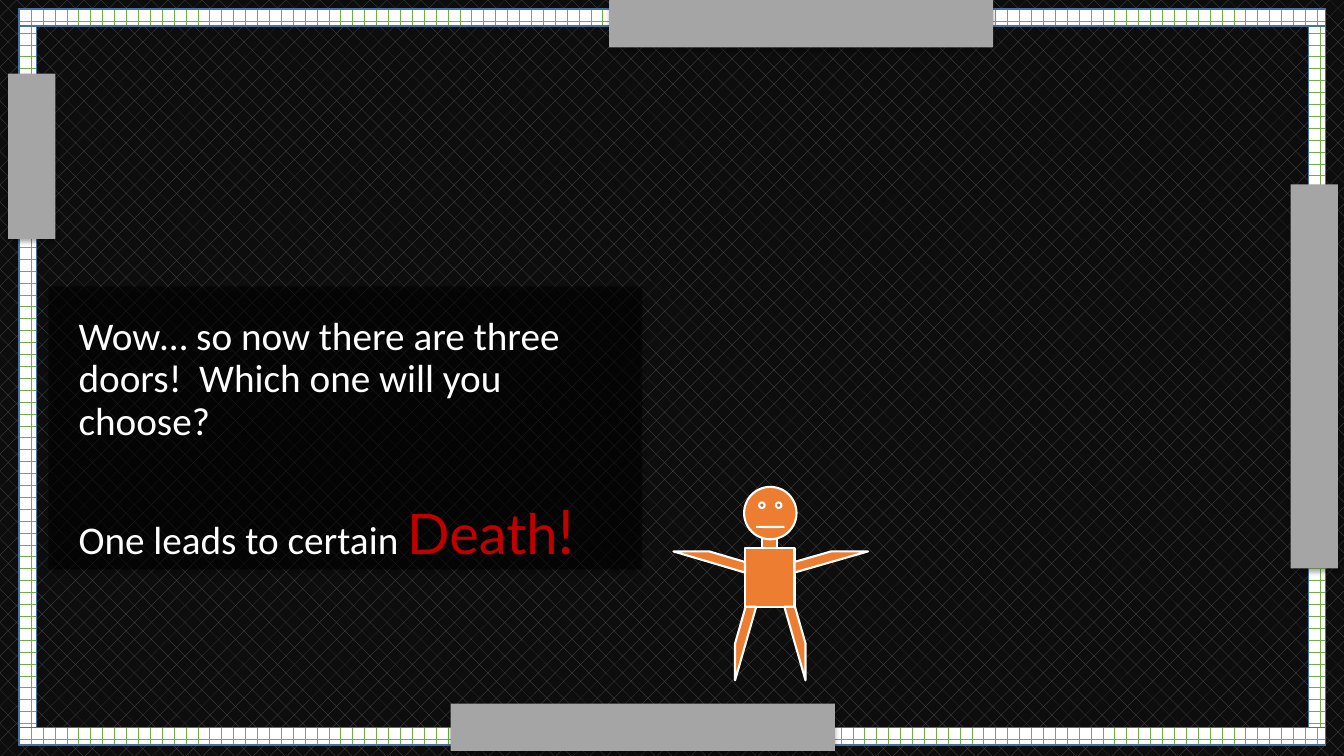
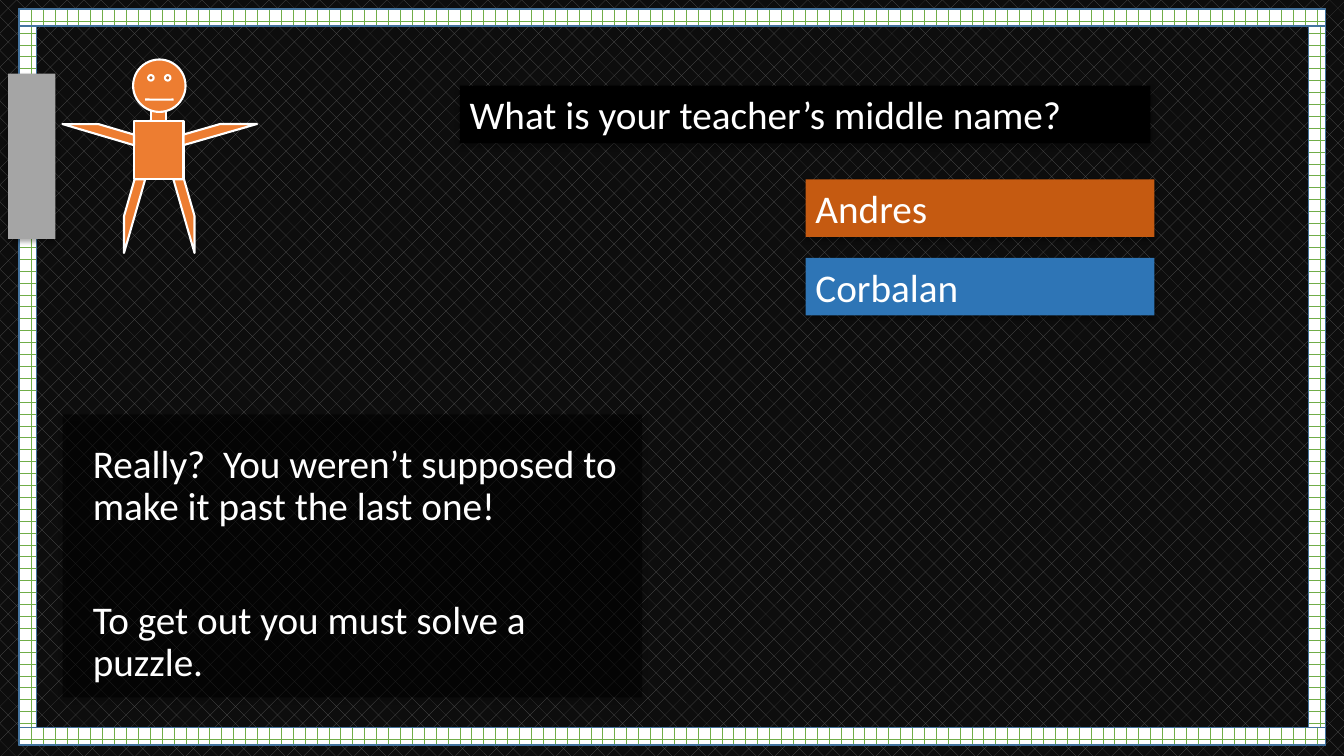
from pptx import Presentation
from pptx.dml.color import RGBColor
from pptx.enum.dml import MSO_PATTERN_TYPE as Pattern
from pptx.enum.shapes import MSO_SHAPE as Shape
from pptx.enum.text import MSO_ANCHOR, MSO_AUTO_SIZE as AutoSize
from pptx.oxml.ns import qn
from pptx.util import Inches, Pt
from lxml import etree

WHITE = RGBColor(0xFF, 0xFF, 0xFF)
BLACK = RGBColor(0, 0, 0)
NIGHT = RGBColor(0x0D, 0x0D, 0x0D)
MESH = RGBColor(0x59, 0x59, 0x59)
GREEN = RGBColor(0x70, 0xAD, 0x47)
EDGE = RGBColor(0x43, 0x73, 0x9E)
ORANGE = RGBColor(0xED, 0x7D, 0x31)
RUST = RGBColor(0xC5, 0x5A, 0x11)
BLUE = RGBColor(0x2E, 0x75, 0xB6)
GRAY = RGBColor(0xA5, 0xA5, 0xA5)
RED = RGBColor(0xC0, 0, 0)

WIDTH, HEIGHT = 13.33, 7.5
BAR = 0.17
FRAME_X, FRAME_Y, FRAME_W, FRAME_H = 0.19, 0.09, 12.96, 7.3
FRAME = [
    (FRAME_X, FRAME_Y, BAR, FRAME_H),
    (FRAME_X + FRAME_W - BAR, FRAME_Y, BAR, FRAME_H),
    (FRAME_X, FRAME_Y + FRAME_H - BAR, FRAME_W, BAR),
    (FRAME_X, FRAME_Y, FRAME_W, BAR),
]

TAB, LONG, SHORT = 0.47, 3.81, 1.64
TOP_TAB = (6.04, 0, LONG, TAB)
RIGHT_TAB = (12.8, 1.83, TAB, LONG)
LEFT_TAB = (0.08, 0.73, TAB, SHORT)
BOTTOM_TAB = (4.47, 6.98, LONG, TAB)

FIGURE = [
    (Shape.RECTANGLE, (0.18, 0.5, 0.15, 0.15), 0, ""),
    (Shape.SMILEY_FACE, (0, 0, 0.52, 0.52), 0, ""),
    (Shape.RECTANGLE, (0.01, 0.61, 0.49, 0.58), 0, ""),
    (Shape.DIAGONAL_STRIPE, (-0.09, 1.19, 0.21, 0.73), 0, ""),
    (Shape.DIAGONAL_STRIPE, (0.4, 1.19, 0.21, 0.73), 0, "H"),
    (Shape.DIAGONAL_STRIPE, (0.76, 0.38, 0.21, 0.73), 270, "H"),
    (Shape.DIAGONAL_STRIPE, (-0.45, 0.39, 0.21, 0.71), 270, "HV"),
]

PLAIN = ("Calibri", 28, WHITE)
ANSWER_X, ANSWER_Y, ANSWER_STEP = 7.99, 1.78, 0.78
ANSWERS = [("Andres", RUST), ("Corbalan", BLUE)]
LABEL_H = 0.57

SLIDES = [
    {
        "speech_at": (0.48, 2.84, 5.89, 2.81),
        "speech": [
            (10, [("Wow… so now there are three doors!  Which one will you choose?", PLAIN)]),
            (41, [
                ("One leads to certain ", PLAIN),
                ("Death", ("Lato", 40, RED)),
                ("!", ("Lato", 44, RED)),
            ]),
        ],
        "figure_at": (7.38, 4.83),
        "tabs": [TOP_TAB, RIGHT_TAB, LEFT_TAB, BOTTOM_TAB],
        "labels": [],
    },
    {
        "speech_at": (0.62, 4.11, 5.75, 2.81),
        "speech": [
            (10, [("Really?  You weren’t supposed to make it past the last one!", PLAIN)]),
            (51, [("To get out you must solve a puzzle.", PLAIN)]),
        ],
        "figure_at": (1.32, 0.59),
        "tabs": [LEFT_TAB],
        "labels": [("What is your teacher’s middle name?", BLACK, (4.56, 0.85, 6.85, LABEL_H))] + [
            (name, color, (ANSWER_X, ANSWER_Y + i * ANSWER_STEP, 3.46, LABEL_H))
            for i, (name, color) in enumerate(ANSWERS)
        ],
    },
]


def place(sp, box):
    sp.left, sp.top, sp.width, sp.height = (Inches(v) for v in box)


def add_shape(shapes, kind, box):
    sp = shapes.add_shape(kind, *(Inches(v) for v in box))
    sp.shadow.inherit = False
    return sp


def fill_pattern(fill, pattern, fore, back):
    fill.patterned()
    fill.pattern = pattern
    fill.fore_color.rgb = fore
    fill.back_color.rgb = back


def add_alpha(color_el, percent):
    etree.SubElement(color_el, qn("a:alpha")).set("val", str(percent * 1000))


def style_panel(sp, color):
    sp.fill.solid()
    sp.fill.fore_color.rgb = color
    sp.line.fill.background()
    sp.shadow.inherit = False
    effects = sp._element.spPr.find(qn("a:effectLst"))
    shadow = etree.SubElement(effects, qn("a:outerShdw"), blurRad=str(Pt(3.5)),
                              dist=str(Pt(2.2)), dir="5400000", rotWithShape="0")
    add_alpha(etree.SubElement(shadow, qn("a:srgbClr"), val=str(BLACK)), 32)


def add_run(p, text, style):
    r = p.add_run()
    r.text = text
    r.font.name, size, r.font.color.rgb = style
    r.font.size = Pt(size)


def add_frame(prs, slide):
    fill_pattern(prs.slide_master.background.fill, Pattern.DIAGONAL_BRICK, MESH, NIGHT)
    for i, box in enumerate(FRAME):
        bar = add_shape(slide.shapes, Shape.RECTANGLE, box)
        fill_pattern(bar.fill, Pattern.HORIZONTAL_BRICK, GREEN, WHITE)
        bar.line.color.rgb = EDGE
        bar.line.width = Pt(1)
        bar._element.nvSpPr.cNvPr.set("id", str(100 + i))
        prs.slide_master.shapes._spTree.append(bar._element)


def add_speech(slide, box, paragraphs):
    title = slide.shapes.title._element
    title.getparent().remove(title)
    sp = slide.placeholders[1]
    place(sp, box)
    style_panel(sp, BLACK)
    add_alpha(sp._element.spPr.find(qn("a:solidFill"))[0], 50)
    tf = sp.text_frame
    tf.auto_size = AutoSize.NONE
    tf.vertical_anchor = MSO_ANCHOR.TOP
    tf.margin_left = tf.margin_top = Inches(0.3)
    for i, (before, runs) in enumerate(paragraphs):
        p = tf.add_paragraph() if i else tf.paragraphs[0]
        p.line_spacing = 0.9
        p.space_before = Pt(before)
        pPr = p._p.get_or_add_pPr()
        pPr.set("marL", "0")
        pPr.set("indent", "0")
        etree.SubElement(pPr, qn("a:buNone"))
        for text, style in runs:
            add_run(p, text, style)


def add_figure(slide, x, y):
    group = slide.shapes.add_group_shape()
    for kind, (dx, dy, w, h), turn, flips in FIGURE:
        sp = add_shape(group.shapes, kind, (x + dx, y + dy, w, h))
        sp.rotation = turn
        sp.fill.solid()
        sp.fill.fore_color.rgb = ORANGE
        sp.line.color.rgb = WHITE
        sp.line.width = Pt(1.5)
        if kind == Shape.SMILEY_FACE:
            sp.adjustments[0] = 0.001
        for axis in flips:
            sp._element.spPr.find(qn("a:xfrm")).set("flip" + axis, "1")


def add_label(slide, text, color, box):
    sp = slide.shapes.add_textbox(*(Inches(v) for v in box))
    style_panel(sp, color)
    tf = sp.text_frame
    tf.word_wrap = True
    tf.auto_size = AutoSize.SHAPE_TO_FIT_TEXT
    add_run(tf.paragraphs[0], text, PLAIN)


def main():
    prs = Presentation()
    prs.slide_width, prs.slide_height = Inches(WIDTH), Inches(HEIGHT)
    for i, content in enumerate(SLIDES):
        s = prs.slides.add_slide(prs.slide_layouts[1])
        if i == 0:
            add_frame(prs, s)
        add_speech(s, content["speech_at"], content["speech"])
        add_figure(s, *content["figure_at"])
        for box in content["tabs"]:
            style_panel(add_shape(s.shapes, Shape.RECTANGLE, box), GRAY)
        for label in content["labels"]:
            add_label(s, *label)
    prs.save("out.pptx")


if __name__ == "__main__":
    main()
